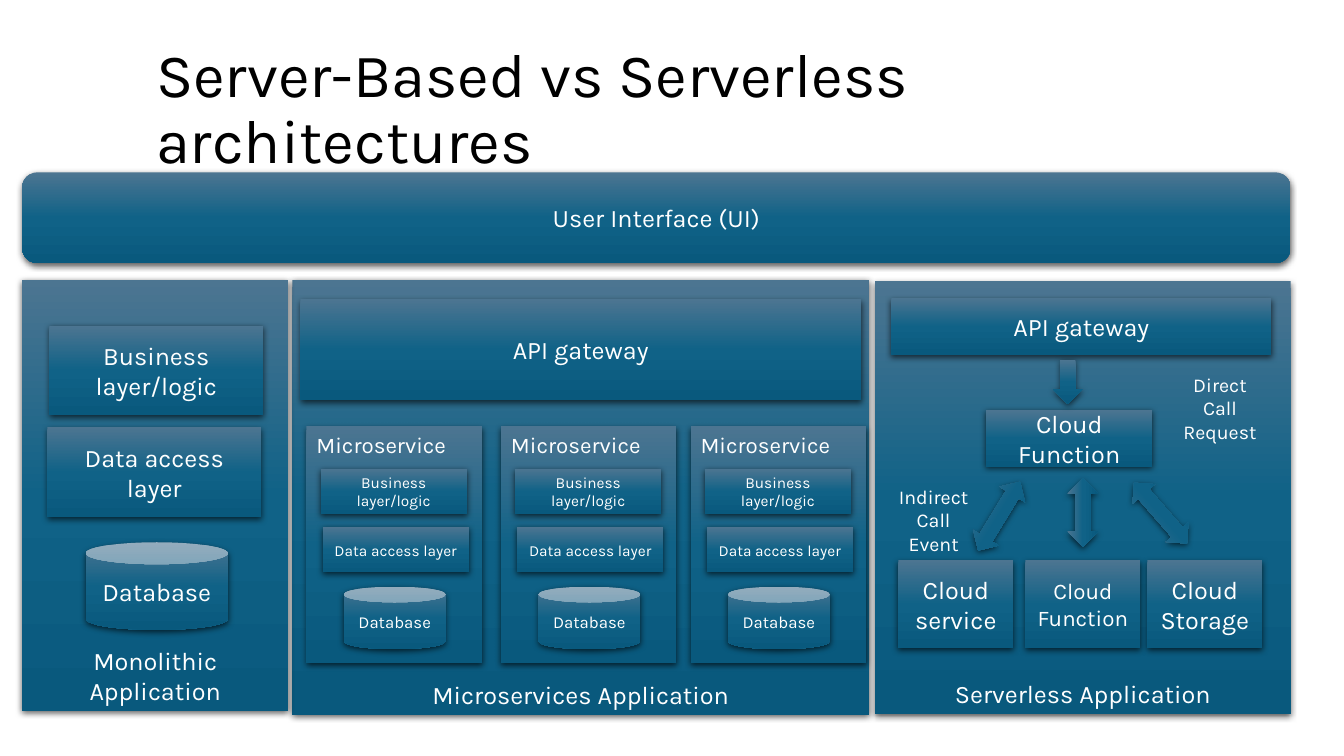
"""Build a slide comparing server-based and serverless architectures."""
from dataclasses import dataclass

from pptx import Presentation, util as u
from pptx.dml.color import RGBColor
from pptx.enum import shapes, text
from pptx.oxml import parse_xml
from pptx.oxml.ns import nsdecls


@dataclass(frozen=True)
class Theme:
    """Hold the colours and type sizes of the slide."""
    font: str = "Karla"
    ink: str = "000000"
    light: str = "FFFFFF"
    shadow: str = "000000"
    gradient: tuple = ((0, "4C7591"), (50, "106287"), (100, "09597D"))
    title: int = 44
    body: int = 18
    medium: int = 16
    remark: int = 14
    small: int = 12
    tiny: int = 11


KIND = shapes.MSO_SHAPE
ANCHOR = text.MSO_ANCHOR
ALIGN = text.PP_ALIGN


class Page:
    """Draw styled elements on one slide."""

    def __init__(self, slide, theme):
        """Keep the slide and its theme."""
        self.slide = slide
        self.theme = theme
        self.target = slide.shapes

    def group(self):
        """Send the following elements into a new group."""
        self.target = self.slide.shapes.add_group_shape().shapes

    def ungroup(self):
        """Send the following elements to the slide itself."""
        self.target = self.slide.shapes

    def set_words(self, frame, words, size, color, align, anchor):
        """Fill a text frame with styled paragraphs."""
        frame.word_wrap = True
        frame.vertical_anchor = anchor
        frame.text = words
        for para in frame.paragraphs:
            para.alignment = align
            for span in para.runs:
                span.font.name = self.theme.font
                span.font.size = u.Pt(size)
                span.font.color.rgb = RGBColor.from_string(color)

    def finish(self, shape):
        """Give a shape the shared gradient and soft shadow."""
        stops = "".join(
            f'<a:gs pos="{place * 1000}"><a:srgbClr val="{color}"/></a:gs>'
            for place, color in self.theme.gradient)
        parts = (
            f'<a:gradFill {nsdecls("a")} rotWithShape="1"><a:gsLst>{stops}</a:gsLst>'
            '<a:lin ang="5400000" scaled="0"/></a:gradFill>',
            f'<a:ln {nsdecls("a")}><a:noFill/></a:ln>',
            f'<a:effectLst {nsdecls("a")}><a:outerShdw blurRad="{u.Pt(4.5)}" '
            f'dist="{u.Pt(1.5)}" dir="5400000" algn="ctr" rotWithShape="0">'
            f'<a:srgbClr val="{self.theme.shadow}"><a:alpha val="63000"/></a:srgbClr>'
            '</a:outerShdw></a:effectLst>')
        for part in parts:
            shape._element.spPr.append(parse_xml(part))

    def arrow(self, kind, bounds, rotation=0):
        """Add a block arrow."""
        shape = self.target.add_shape(kind, *map(u.Inches, bounds))
        shape.rotation = rotation
        self.finish(shape)

    def box(self, words, bounds, size=Theme.body, kind=KIND.RECTANGLE,
            anchor=ANCHOR.MIDDLE, align=ALIGN.CENTER):
        """Add a labelled block."""
        shape = self.target.add_shape(kind, *map(u.Inches, bounds))
        self.finish(shape)
        self.set_words(shape.text_frame, words, size, self.theme.light, align, anchor)

    def panel(self, words, bounds):
        """Add an application background named at its foot."""
        self.box(words, bounds, anchor=ANCHOR.BOTTOM)

    def label(self, words, bounds, size, color, align, anchor=ANCHOR.TOP, inset=0.1):
        """Add free text."""
        frame = self.target.add_textbox(*map(u.Inches, bounds)).text_frame
        frame.margin_left = frame.margin_right = u.Inches(inset)
        self.set_words(frame, words, size, color, align, anchor)
        return frame

    def heading(self, words, bounds):
        """Add the slide title."""
        frame = self.label(words, bounds, self.theme.title, self.theme.ink,
                           ALIGN.LEFT, ANCHOR.MIDDLE)
        frame.paragraphs[0].line_spacing = 0.9

    def remark(self, words, bounds):
        """Add a centred remark on a panel."""
        self.label(words, bounds, self.theme.remark, self.theme.light,
                   ALIGN.CENTER, inset=0.15)

    def microservice(self, left):
        """Add one grouped microservice stack."""
        self.group()
        self.box("Microservice", (left, 4.23, 1.74, 2.35), self.theme.medium,
                 anchor=ANCHOR.TOP, align=ALIGN.LEFT)
        self.box("Database", (left + 0.37, 5.82, 1.01, 0.62), self.theme.small, KIND.CAN)
        self.box("Business layer/logic", (left + 0.14, 4.65, 1.45, 0.45), self.theme.tiny)
        self.box("Data access layer", (left + 0.16, 5.23, 1.45, 0.45), self.theme.tiny)
        self.ungroup()


def draw_monolith(page):
    """Draw the monolithic application."""
    page.group()
    page.panel("Monolithic Application", (0.22, 2.78, 2.64, 4.27))
    page.box("Database", (0.85, 5.38, 1.41, 0.87), kind=KIND.CAN)
    page.box("Business layer/logic", (0.49, 3.23, 2.12, 0.89))
    page.box("Data access layer", (0.47, 4.24, 2.12, 0.89))
    page.ungroup()


def draw_microservices(page):
    """Draw the microservices application."""
    page.panel("Microservices Application", (2.9, 2.78, 5.72, 4.31))
    for left in (3.04, 4.97, 6.85):
        page.microservice(left)
    page.box("API gateway", (2.98, 2.97, 5.56, 1))


def draw_serverless(page):
    """Draw the serverless application."""
    page.panel("Serverless Application", (8.68, 2.79, 4.12, 4.29))
    page.box("API gateway", (8.84, 2.96, 3.77, 0.56))
    page.box("Cloud Function", (9.78, 4.07, 1.65, 0.56))
    page.arrow(KIND.DOWN_ARROW, (10.44, 3.57, 0.3, 0.44))
    for words, left, size in (("Cloud service", 8.91, page.theme.body),
                              ("Cloud Function", 10.17, page.theme.medium),
                              ("Cloud Storage", 11.38, page.theme.body)):
        page.box(words, (left, 5.56, 1.14, 0.87), size)
    for bounds, rotation in (((9.51, 4.97, 0.8, 0.3), 301.3),
                             ((11.11, 4.94, 0.8, 0.3), 228.9),
                             ((10.4, 4.93, 0.68, 0.31), 270)):
        page.arrow(KIND.LEFT_RIGHT_ARROW, bounds, rotation)
    page.remark("Direct Call\nRequest", (11.55, 3.65, 1.1, 0.57))
    page.remark("Indirect Call\nEvent", (8.64, 4.76, 1.24, 0.57))


def main():
    """Build and save the deck."""
    deck = Presentation()
    deck.slide_width, deck.slide_height = u.Inches(13.33), u.Inches(7.5)
    page = Page(deck.slides.add_slide(deck.slide_layouts[6]), Theme())
    page.heading("Server-Based vs Serverless architectures", (1.45, 0.61, 11.5, 0.97))
    page.box("User Interface (UI)", (0.22, 1.71, 12.58, 0.9), kind=KIND.ROUNDED_RECTANGLE)
    draw_microservices(page)
    draw_serverless(page)
    draw_monolith(page)
    deck.save("out.pptx")


if __name__ == "__main__":
    main()
